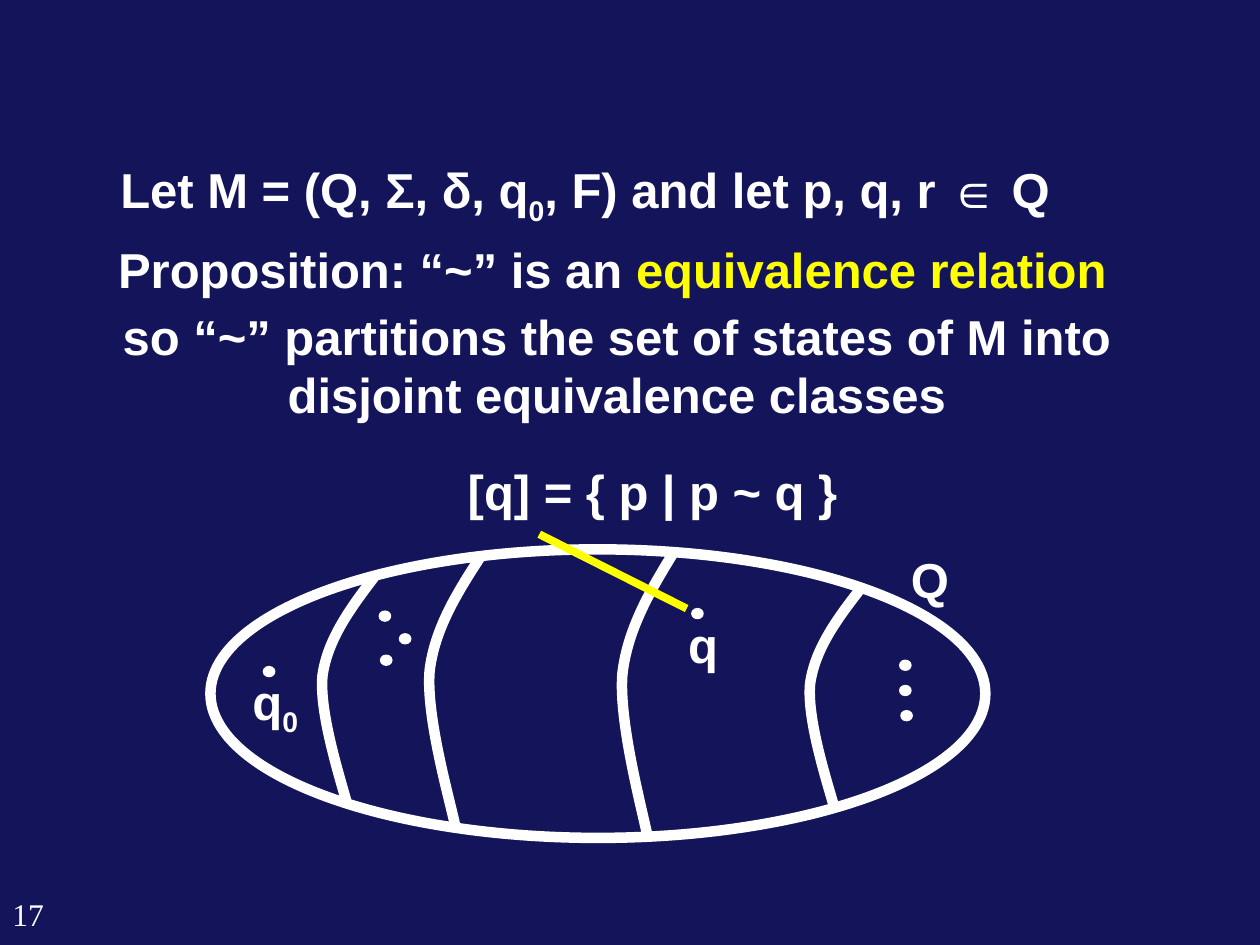
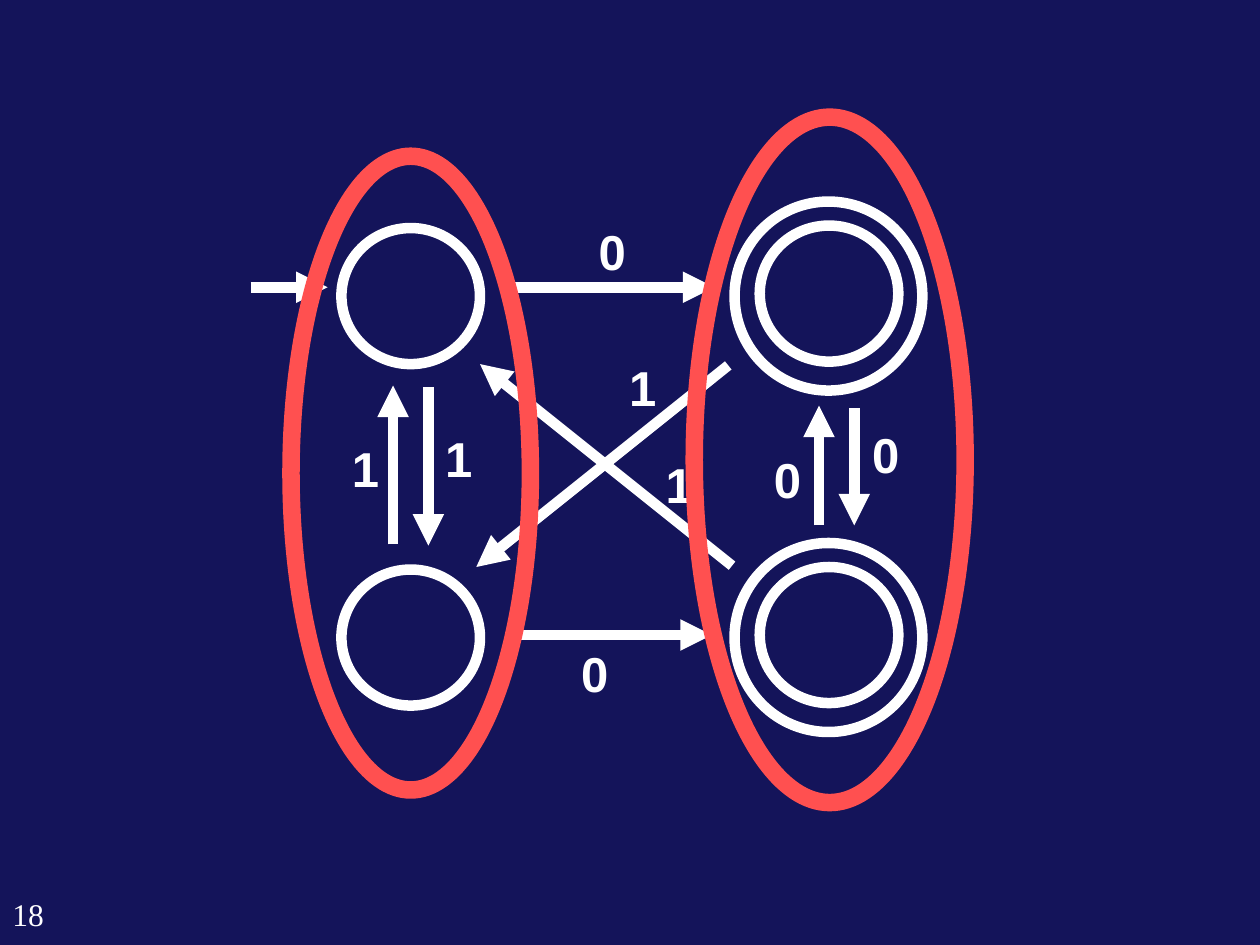
from pptx import Presentation
from pptx.dml.color import RGBColor
from pptx.enum import shapes, text
from pptx.oxml import parse_xml
from pptx.oxml.ns import nsdecls, qn
from pptx.util import Inches, Pt

NAVY, WHITE, YELLOW, CORAL = "14145A", "FFFFFF", "FFFF00", "FF5050"
BEND = [(0, 0), (-0.18, 0.13), (-0.37, 0.27), (-0.41, 0.43),
        (-0.44, 0.6), (-0.25, 0.91), (-0.21, 1)]


def paint(target, color):
    target.rgb = RGBColor.from_string(color)


def stroke(line, color, width):
    line.width = Pt(width)
    line.fill.solid()
    paint(line.fill.fore_color, color)


def write(slide, box, runs, size=28, font="Arial", bold=True,
          align=text.PP_ALIGN.CENTER, wrap=False):
    frame = slide.shapes.add_textbox(*map(Inches, box)).text_frame
    frame.word_wrap = wrap
    frame.auto_size = text.MSO_AUTO_SIZE.SHAPE_TO_FIT_TEXT
    para = frame.paragraphs[0]
    para.alignment = align
    for words, color, base in runs:
        run = para.add_run()
        run.text = words
        run.font.name = font
        run.font.size = Pt(size)
        run.font.bold = bold
        paint(run.font.color, color)
        if base:
            run.font._element.set("baseline", str(base * 1000))


def plain(words, color=WHITE):
    return words, color, 0


def sub(words):
    return words, WHITE, -25


def oval(slide, box, color=WHITE, width=6, fill=None):
    shape = slide.shapes.add_shape(shapes.MSO_SHAPE.OVAL, *map(Inches, box))
    shape.shadow.inherit = False
    if fill:
        shape.fill.solid()
        paint(shape.fill.fore_color, fill)
    else:
        shape.fill.background()
    stroke(shape.line, color, width)


def dot(slide, left, top):
    oval(slide, (left, top, 0.09, 0.08), width=0.75, fill=WHITE)


def link(slide, start, end, color=WHITE, width=6, arrow=True):
    line = slide.shapes.add_connector(
        shapes.MSO_CONNECTOR.STRAIGHT, *map(Inches, start + end))
    stroke(line.line, color, width)
    if arrow:
        line.line._get_or_add_ln().append(
            parse_xml(f'<a:tailEnd {nsdecls("a")} type="triangle"/>'))
    line._element.spPr.append(parse_xml(f'<a:effectLst {nsdecls("a")}/>'))


def curve(shape):
    legs = list(shape._element.iter(qn("a:lnTo")))
    for i in range(0, len(legs), 3):
        bend = parse_xml(f'<a:cubicBezTo {nsdecls("a")}/>')
        legs[i].addprevious(bend)
        for leg in legs[i:i + 3]:
            bend.append(leg[0])
            leg.getparent().remove(leg)


def border(slide, left, top, height):
    knots = [(Inches(left + x), Inches(top + y * height)) for x, y in BEND]
    pen = slide.shapes.build_freeform(*knots[0])
    pen.add_line_segments(knots[1:], close=False)
    shape = pen.convert_to_shape()
    curve(shape)
    shape.shadow.inherit = False
    shape.fill.background()
    stroke(shape.line, WHITE, 6)


def page(deck, number):
    slide = deck.slides.add_slide(deck.slide_layouts[6])
    write(slide, (0, 7.05, 0.57, 0.45), [plain(str(number))], 18,
          "Times New Roman", False, text.PP_ALIGN.LEFT, True)
    return slide


def classes(slide):
    write(slide, (0.54, 2.38, 8.71, 1.03), [plain(
        "so “~” partitions the set of states of M into "
        "disjoint equivalence classes")], wrap=True)
    write(slide, (0.83, 1.22, 7.63, 0.57), [
        plain("Let M = (Q, Σ, δ, q"), sub("0"),
        plain(", F) and let p, q, r ∈ Q ")])
    oval(slide, (1.67, 4.36, 6.15, 2.29))
    for left, top, height in [(2.97, 4.58, 1.82), (3.82, 4.41, 2.13),
                              (5.35, 4.38, 2.26), (6.84, 4.66, 1.78)]:
        border(slide, left, top, height)
    for spot in [(2.09, 5.29), (3.01, 4.85), (3.02, 5.2), (3.17, 5.03),
                 (5.49, 4.83), (7.14, 5.24), (7.14, 5.44), (7.15, 5.64)]:
        dot(slide, *spot)
    write(slide, (1.89, 5.28, 0.59, 0.57), [plain("q"), sub("0")])
    write(slide, (7.13, 4.31, 0.5, 0.57), [plain("Q")])
    write(slide, (5.36, 4.83, 0.44, 0.57), [plain("q")])
    write(slide, (3.61, 3.61, 3.14, 0.57), [plain("[q] = { p | p ~ q }")])
    link(slide, (4.28, 4.24), (5.45, 4.83), YELLOW, 4.5, False)
    write(slide, (0.83, 1.85, 8.06, 0.57), [
        plain("Proposition: “~” is an "),
        plain("equivalence relation", YELLOW)])


def machine(slide):
    for drop in (0, 2.71):
        oval(slide, (6.03, 1.79 + drop, 1.1, 1.08))
        oval(slide, (5.83, 1.6 + drop, 1.49, 1.5))
        oval(slide, (2.71, 1.81 + drop, 1.1, 1.08))
    for start, end in [
            ((4.03, 2.28), (5.67, 2.28)), ((4.07, 5.04), (5.65, 5.04)),
            ((3.4, 3.07), (3.4, 4.33)), ((3.12, 4.32), (3.12, 3.06)),
            ((6.78, 3.24), (6.78, 4.17)), ((6.5, 4.17), (6.5, 3.22)),
            ((5.81, 4.49), (3.81, 2.89)), ((5.78, 2.9), (3.78, 4.5)),
            ((1.99, 2.28), (2.6, 2.28))]:
        link(slide, start, end)
    marks = {
        "1": [(3.43, 3.35), (2.69, 3.43), (4.89, 2.79), (5.18, 3.56)],
        "0": [(4.51, 5.06), (4.65, 1.71), (6.82, 3.32), (6.04, 3.52)]}
    for mark, spots in marks.items():
        for spot in spots:
            write(slide, spot + (0.42, 0.57), [plain(mark)])
    for box in [(2.31, 1.24, 1.9, 5.03), (5.51, 0.93, 2.15, 5.44)]:
        oval(slide, box, CORAL, 10)


def main():
    deck = Presentation()
    deck.slide_width, deck.slide_height = Inches(10), Inches(7.5)
    fill = deck.slide_master.background.fill
    fill.solid()
    paint(fill.fore_color, NAVY)
    for number, draw in enumerate((classes, machine), 17):
        draw(page(deck, number))
    deck.save("out.pptx")


if __name__ == "__main__":
    main()
